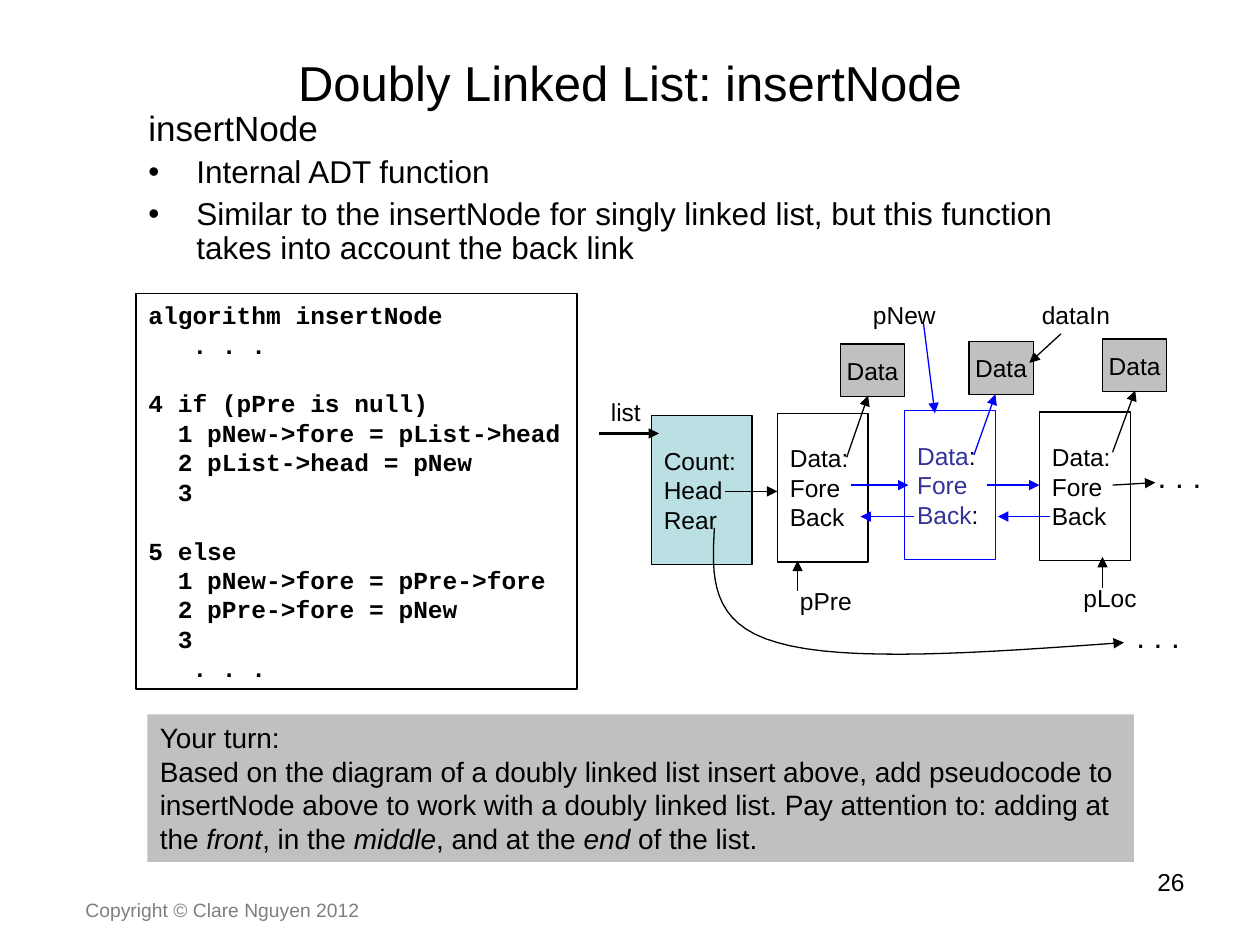
"""Build the slide on inserting a node into a doubly linked list."""
from lxml.etree import SubElement
from pptx import Presentation
from pptx.dml.color import RGBColor
from pptx.enum.shapes import MSO_CONNECTOR, MSO_SHAPE
from pptx.enum.text import MSO_ANCHOR, PP_ALIGN
from pptx.oxml.ns import qn
from pptx.util import Inches, Pt

HUES = {"black": "000000", "blue": "0000FF", "navy": "333399",
        "teal": "BBE0E3", "gray": "C0C0C0", "dim": "7F7F7F"}

deck = Presentation()
deck.slide_width, deck.slide_height = Inches(10), Inches(7.5)
slide = deck.slides.add_slide(deck.slide_layouts[6])
shapes = slide.shapes


def add_box(place, rows, size, fill=None, line=None, font="Arial", hue="black",
            align=PP_ALIGN.LEFT, anchor=MSO_ANCHOR.TOP, wrap=False, bold=None):
    spot = [Inches(n) for n in place]
    if fill or line:
        box = shapes.add_shape(MSO_SHAPE.RECTANGLE, *spot)
        box.shadow.inherit = False
        if fill:
            box.fill.solid()
            box.fill.fore_color.rgb = RGBColor.from_string(HUES[fill])
        else:
            box.fill.background()
        if line:
            box.line.color.rgb = RGBColor.from_string(HUES[line])
            box.line.width = Pt(0.75)
        else:
            box.line.fill.background()
    else:
        box = shapes.add_textbox(*spot)
    frame = box.text_frame
    frame.word_wrap = wrap
    frame.vertical_anchor = anchor
    for i, row in enumerate(rows):
        para = frame.paragraphs[0] if i == 0 else frame.add_paragraph()
        para.alignment = align
        para.line_spacing = Pt(round(size * 1.2, 1))
        for part in [(row,)] if isinstance(row, str) else row:
            text, tint, slant = (*part, None, None)[:3]
            run = para.add_run()
            run.text = text
            run.font.name, run.font.size = font, Pt(size)
            run.font.bold, run.font.italic = bold, slant
            run.font.color.rgb = RGBColor.from_string(HUES[tint or hue])
    return frame


def style_line(item, hue="black", width=0.75):
    item.line.color.rgb = RGBColor.from_string(HUES[hue])
    item.line.width = Pt(width)
    edge = item.line._get_or_add_ln()
    SubElement(edge, qn("a:tailEnd"), type="triangle")
    props = edge.getparent()
    if props.find(qn("a:effectLst")) is None:
        SubElement(props, qn("a:effectLst"))


add_box((7.17, 6.83, 2.33, 0.52), ["26"], 14, align=PP_ALIGN.RIGHT, wrap=True)
add_box((0.5, 0.3, 9, 0.7), ["Doubly Linked List: insertNode"], 28,
        align=PP_ALIGN.CENTER, anchor=MSO_ANCHOR.MIDDLE, wrap=True)

points = ["insertNode", "Internal ADT function",
          "Similar to the insertNode for singly linked list, but this function "
          "takes into account the back link"]
body = add_box((1.08, 0.83, 7.92, 1.42), points, 18, wrap=True)
for i, para in enumerate(body.paragraphs):
    para.line_spacing = 0.9
    if i == 0:
        para.runs[0].font.size = Pt(20)
        continue
    para.space_before = Pt(4.5)
    props = para._p.get_or_add_pPr()
    props.set("marL", str(Inches(0.38)))
    props.set("indent", str(-Inches(0.38)))
    SubElement(props, qn("a:buFont"), typeface="Arial")
    SubElement(props, qn("a:buChar"), char="•")

code = ["algorithm insertNode", "   . . .",
        "4 if (pPre is null)", "  1 pNew->fore = pList->head",
        "  2 pList->head = pNew", "  3",
        "5 else", "  1 pNew->fore = pPre->fore",
        "  2 pPre->fore = pNew", "  3", "   . . ."]
frame = add_box((1.08, 2.33, 3.5, 3.14), code, 14, line="black", font="Courier New",
                anchor=MSO_ANCHOR.MIDDLE, wrap=True, bold=True)
for para in frame.paragraphs:
    if para.text[0].isdigit():
        para.space_before = Pt(16.8)

plain = ["Data:", "Fore", "Back"]
fresh = [[("Data", "navy"), (":",)], [("Fore", "navy")], [("Back", "navy"), (":",)]]
nodes = [(5.17, 3.3, 0.8, ["Count:", "Head", "Rear"], "teal", "black"),
         (6.17, 3.28, 0.72, plain, None, "black"),
         (7.18, 3.26, 0.72, fresh, None, "blue"),
         (8.25, 3.27, 0.72, plain, None, "black")]
for left, top, width, rows, fill, line in nodes:
    add_box((left, top, width, 1.18), rows, 14, fill, line, anchor=MSO_ANCHOR.MIDDLE)

for left, top in [(6.67, 2.73), (7.69, 2.71), (8.75, 2.69)]:
    add_box((left, top, 0.51, 0.42), ["Data"], 14, "gray", "black",
            align=PP_ALIGN.CENTER, anchor=MSO_ANCHOR.MIDDLE)

labels = [("list", 4.75, 3.1, 0.44), ("pNew", 6.83, 2.33, 0.7),
          ("dataIn", 8.17, 2.33, 0.74), ("pPre", 6.25, 4.6, 0.61),
          ("pLoc", 8.5, 4.58, 0.62)]
for text, left, top, width in labels:
    add_box((left, top, width, 0.34), [text], 14)
for left, top in [(9.09, 3.58), (8.92, 4.85)]:
    add_box((left, top, 0.7, 0.4), [". . ."], 18, wrap=True)

links = {"black": [(4.75, 3.44, 5.23, 3.44), (5.75, 3.9, 6.17, 3.9),
                   (6.72, 3.63, 6.89, 3.14), (8.83, 3.59, 9.01, 3.1),
                   (8.83, 3.85, 9.17, 3.83), (8.42, 2.65, 8.17, 2.88),
                   (6.33, 4.69, 6.33, 4.45), (8.75, 4.67, 8.75, 4.42)],
         "blue": [(7.73, 3.61, 7.9, 3.13), (6.75, 3.85, 7.21, 3.85),
                  (7.83, 3.85, 8.25, 3.85), (7.33, 2.57, 7.42, 3.28),
                  (8.33, 4.1, 7.92, 4.1), (7.25, 4.1, 6.83, 4.1)]}
for hue, group in links.items():
    for ends in group:
        link = shapes.add_connector(MSO_CONNECTOR.STRAIGHT, *[Inches(n) for n in ends])
        style_line(link, hue, 1.5 if ends[0] == 4.75 else 0.75)

bends = [[(5.67, 4.19), (5.65, 4.57), (5.63, 4.95), (6.17, 5.1)],
         [(6.17, 5.1), (6.71, 5.26), (7.81, 5.18), (8.92, 5.1)]]
steps = 16
trail = []
for bend in bends:
    for k in range(1, steps + 1):
        t = k / steps
        parts = [(1 - t) ** 3, 3 * t * (1 - t) ** 2, 3 * t * t * (1 - t), t ** 3]
        trail.append([Inches(sum(w * p[axis] for w, p in zip(parts, bend)))
                      for axis in (0, 1)])
pen = shapes.build_freeform(*[Inches(n) for n in bends[0][0]])
pen.add_line_segments(trail, close=False)
curve = pen.convert_to_shape()
curve.shadow.inherit = False
curve.fill.background()
style_line(curve)

task = [("Based on the diagram of a doubly linked list insert above, add pseudocode to "
         "insertNode above to work with a doubly linked list. Pay attention to: adding at the ",),
        ("front", None, True), (", in the ",), ("middle", None, True),
        (", and at the ",), ("end", None, True), (" of the list.",)]
add_box((1.17, 5.67, 7.83, 1.17), ["Your turn:", task], 16, fill="gray", wrap=True)
add_box((0.58, 7.08, 3.17, 0.19), ["Copyright © Clare Nguyen 2012"], 11, hue="dim", wrap=True)

deck.save("out.pptx")
